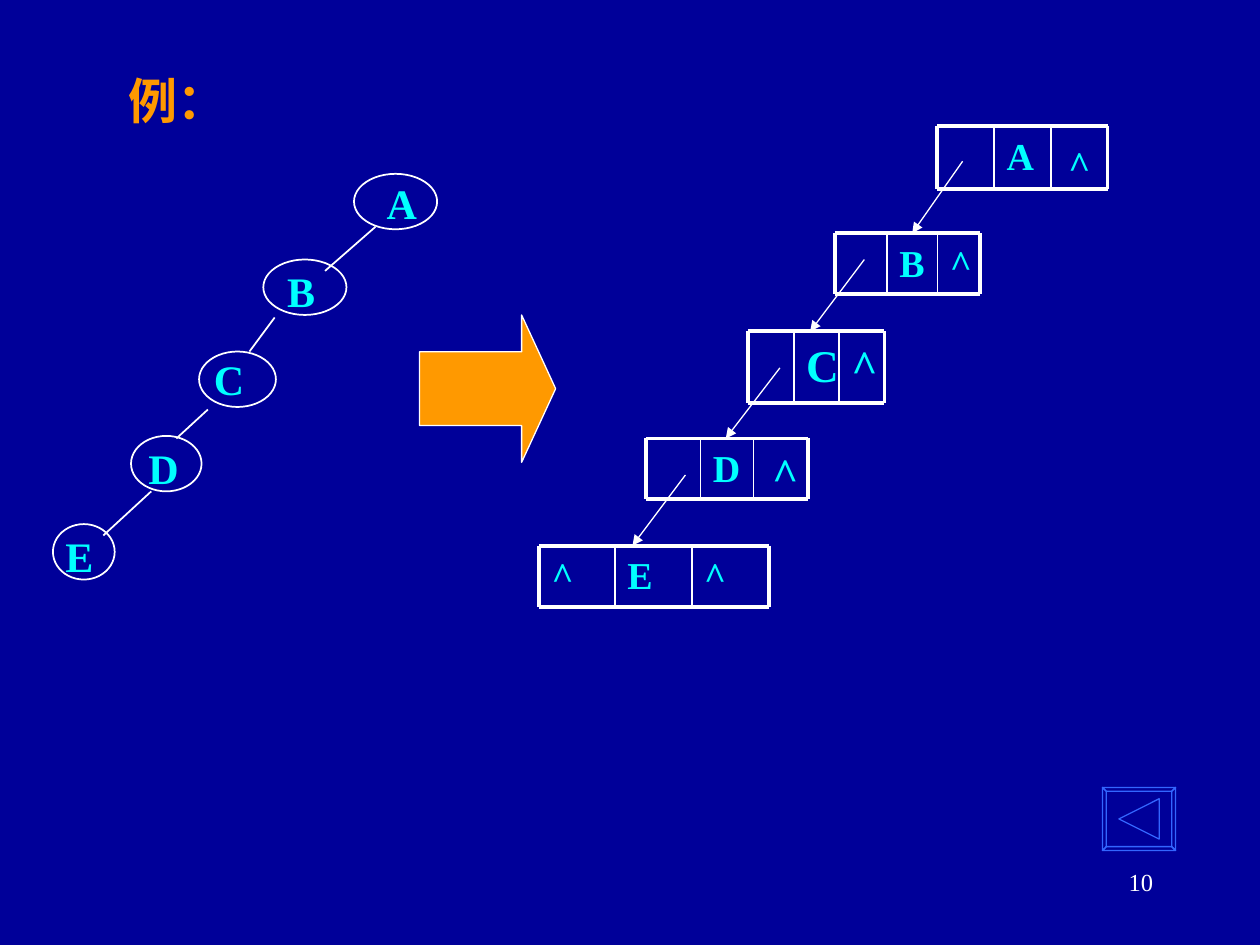
from pptx import Presentation
from pptx.dml.color import RGBColor
from pptx.enum.shapes import MSO_CONNECTOR as CONNECTOR, MSO_SHAPE as SHAPE
from pptx.enum.text import MSO_ANCHOR as ANCHOR, MSO_AUTO_SIZE as AUTO, PP_ALIGN as ALIGN
from pptx.oxml.ns import qn
from pptx.util import Inches, Pt
from lxml.etree import SubElement

COLORS = {"navy": "000099", "orange": "FF9900", "cyan": "00FFFF",
          "white": "FFFFFF", "blue": "3366FF"}
PALETTE = {key: RGBColor.from_string(value) for key, value in COLORS.items()}

prs = Presentation()
prs.slide_width, prs.slide_height = Inches(10), Inches(7.5)
cell = prs.slide_width / 100
slide = prs.slides.add_slide(prs.slide_layouts[5])
slide.background.fill.solid()
slide.background.fill.fore_color.rgb = PALETTE["navy"]
shapes = slide.shapes


def grid(*steps):
    return [round(step * cell) for step in steps]


def write(box, text, size=21.7, color="cyan", font="Times New Roman", bold=True,
          align=ALIGN.LEFT, anchor=ANCHOR.TOP, wrap=True, fit=AUTO.NONE):
    frame = box.text_frame
    frame.word_wrap, frame.auto_size, frame.vertical_anchor = wrap, fit, anchor
    paragraph = frame.paragraphs[0]
    paragraph.alignment = align
    run = paragraph.add_run()
    run.text = text
    run.font.size, run.font.bold, run.font.name = Pt(size), bold, font
    run.font.color.rgb = PALETTE[color]
    SubElement(run.font._element, qn("a:ea"), typeface=font)


heading = shapes.title
heading.left, heading.top, heading.width, heading.height = grid(9.2, 4.2, 9.2, 7.5)
write(heading, "例：", size=28, color="orange", font="Noto Sans CJK SC", anchor=ANCHOR.MIDDLE)

tree = [("A", 28.1, 13.8, 6.6, 29.7, 13.6), ("B", 20.9, 20.6, 6.6, 21.8, 20.6),
        ("C", 15.8, 27.9, 6.1, 16, 27.6), ("D", 10.4, 34.6, 5.6, 10.8, 34.6),
        ("E", 4.2, 41.6, 4.9, 4.2, 41.6)]
for letter, left, top, width, label_left, label_top in tree:
    node = shapes.add_shape(SHAPE.OVAL, *grid(left, top, width, 4.4))
    node.shadow.inherit = False
    node.fill.background()
    node.line.color.rgb, node.line.width = PALETTE["white"], Pt(1)
    label = shapes.add_textbox(*grid(label_left, label_top, 4.3, 5))
    write(label, letter, size=24, wrap=False, fit=AUTO.SHAPE_TO_FIT_TEXT)

branches = [(29.8, 18, 25.8, 21.5), (21.8, 25.2, 19.8, 27.9),
            (16.5, 32.5, 14, 34.8), (12, 39, 8.2, 42.5)]
pointers = [(76.4, 12.8, 72.4, 18.5), (68.6, 20.6, 64.3, 26.3),
            (61.9, 29.2, 57.6, 34.8), (54.4, 37.7, 50.2, 43.3)]
strokes = [(ends, 1, False) for ends in branches]

records = [([74.4, 78.9, 83.4, 87.9], 10, 5, 21.7, [(1, "A", 0, 0), (2, "^", 0.4, 0.7)]),
           ([66.3, 70.4, 74.4, 77.8], 18.5, 4.8, 21.7, [(1, "B", 0, 0), (2, "^", 0, 0)]),
           ([59.4, 63, 66.6, 70.2], 26.3, 5.7, 25.9, [(1, "C", 0, 0), (2, "^", 0, 0)]),
           ([51.3, 55.6, 59.8, 64.1], 34.8, 4.8, 21.7, [(1, "D", 0, 0), (2, "^", 0.5, 0)]),
           ([42.8, 48.8, 54.9, 61], 43.3, 4.9, 21.7,
            [(0, "^", 0, 0), (1, "E", 0, 0), (2, "^", 0, 0)])]
for edges, top, height, size, entries in records:
    for column, text, shift_x, shift_y in entries:
        width = edges[column + 1] - edges[column]
        entry = shapes.add_textbox(*grid(edges[column] + shift_x, top + shift_y, width, height))
        write(entry, text, size=25.9 if (edges[0], text) == (51.3, "^") else size)
    for y in (top, top + height):
        strokes.append(((edges[0], y, edges[-1], y), 2.25, False))
    for x in edges:
        weight = 2.25 if x in (edges[0], edges[-1]) else 1
        strokes.append(((x, top, x, top + height), weight, False))

strokes += [(ends, 0.75, True) for ends in pointers]
for ends, weight, has_head in strokes:
    stroke = shapes.add_connector(CONNECTOR.STRAIGHT, *grid(*ends))
    stroke.line.color.rgb, stroke.line.width = PALETTE["white"], Pt(weight)
    if has_head:
        SubElement(stroke.line._get_or_add_ln(), qn("a:tailEnd"), type="triangle")
    SubElement(stroke._element.spPr, qn("a:effectLst"))

becomes = shapes.add_shape(SHAPE.RIGHT_ARROW, *grid(33.3, 25, 10.8, 11.7))
becomes.adjustments[0], becomes.adjustments[1] = 0.5, 0.25
becomes.shadow.inherit = False
becomes.fill.solid()
becomes.fill.fore_color.rgb = PALETTE["orange"]
becomes.line.color.rgb, becomes.line.width = PALETTE["white"], Pt(0.75)

outer = [(87.5, 62.5), (93.3, 62.5), (93.3, 67.5), (87.5, 67.5)]
inner = [(87.8, 62.8), (93, 62.8), (93, 67.2), (87.8, 67.2)]
bevels = [[outer[i], outer[(i + 1) % 4], inner[(i + 1) % 4], inner[i]] for i in range(4)]
contours = [outer, *bevels, [(92, 63.4), (88.8, 65), (92, 66.6)]]
builder = shapes.build_freeform(*grid(*outer[0]))
for contour in contours:
    start, *corners = [grid(*point) for point in contour]
    builder.move_to(*start)
    builder.add_line_segments(corners, close=True)
back = builder.convert_to_shape()
back.shadow.inherit = False
back.fill.background()
back.line.color.rgb, back.line.width = PALETTE["blue"], Pt(0.75)

page = shapes.add_textbox(*grid(71.7, 68.3, 20.8, 5))
write(page, "10", size=14, color="white", bold=False, align=ALIGN.RIGHT)

prs.save("out.pptx")
